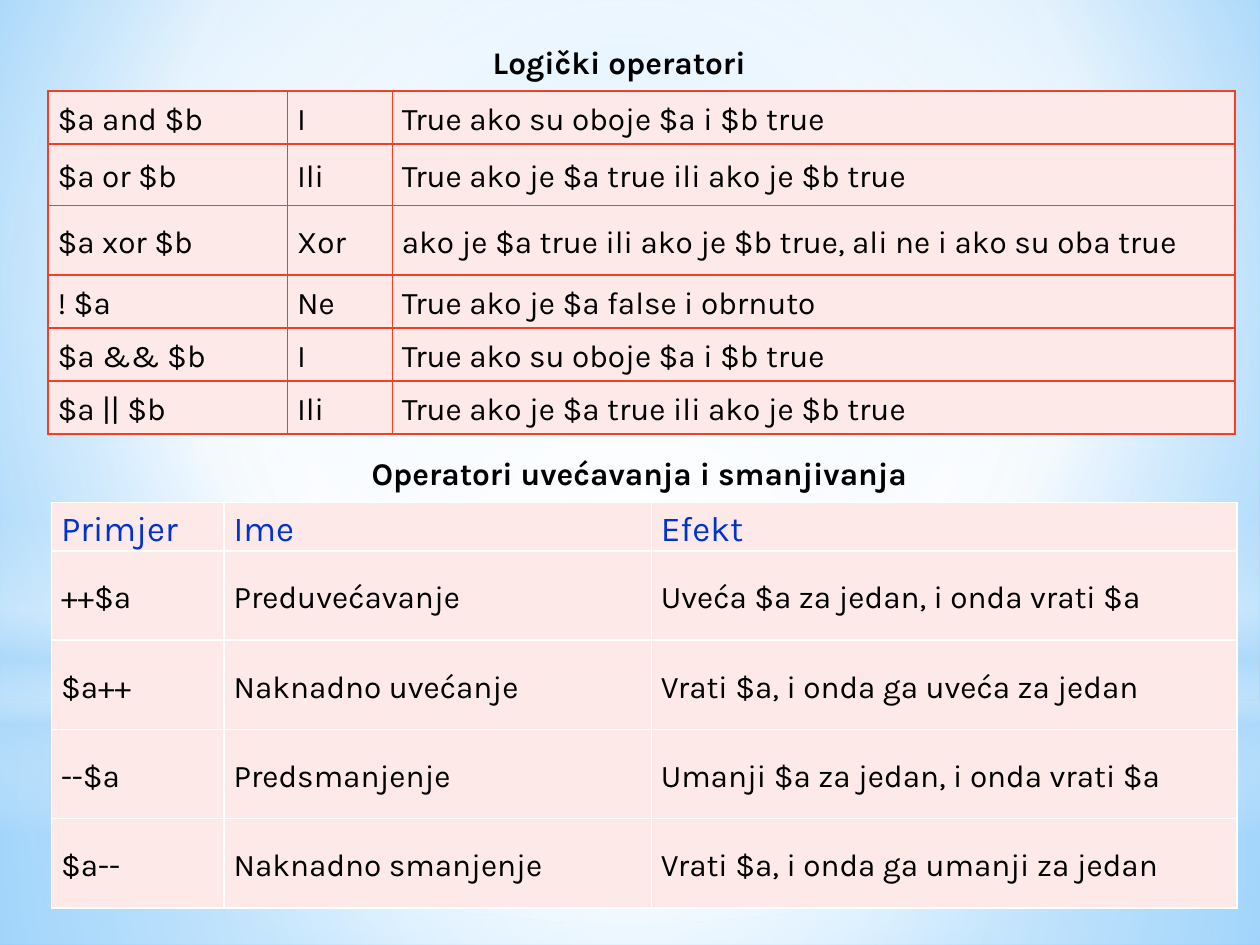
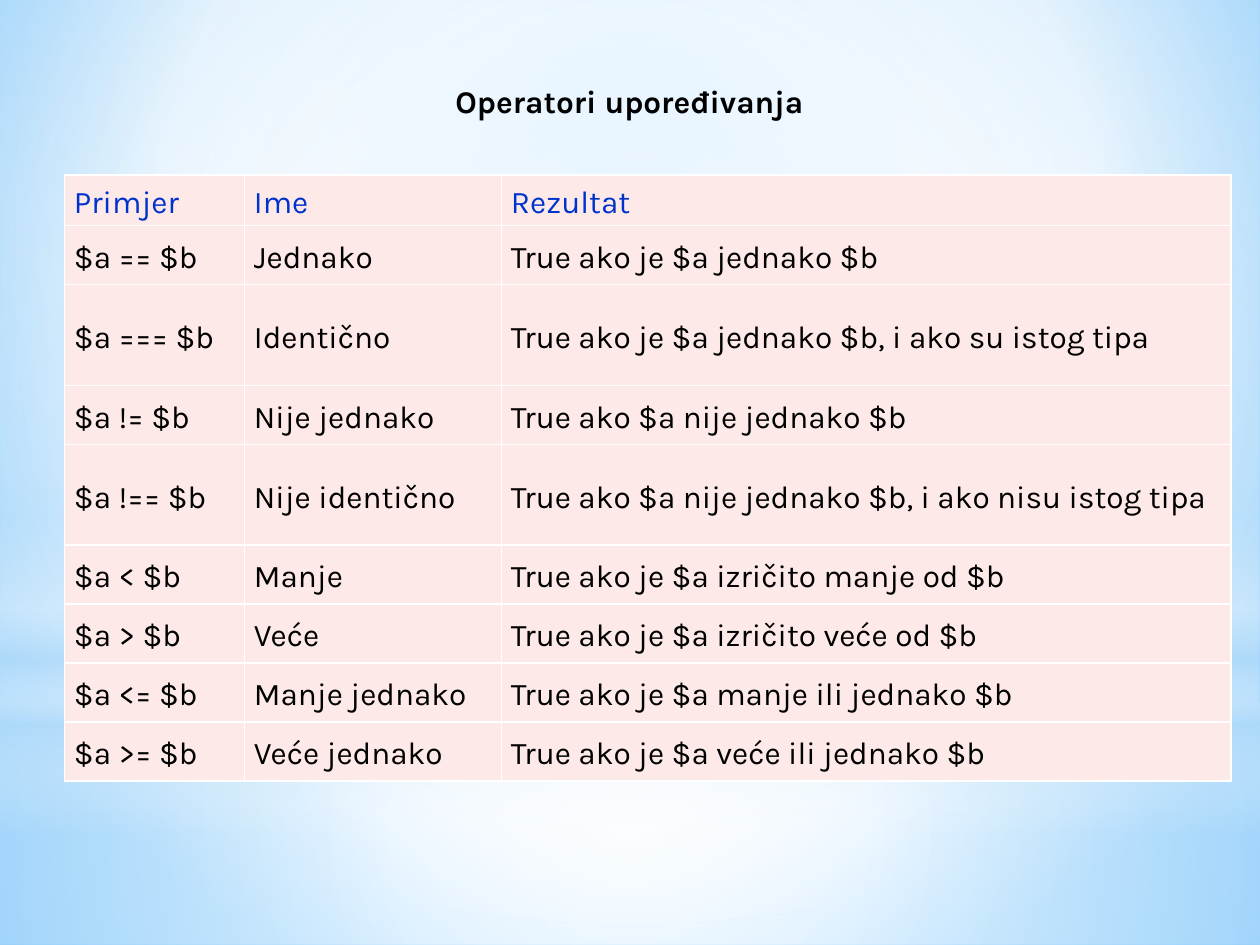
from lxml.etree import SubElement
from pptx import Presentation
from pptx.dml.color import RGBColor
from pptx.enum.shapes import MSO_SHAPE
from pptx.enum.text import MSO_ANCHOR, MSO_AUTO_SIZE, PP_ALIGN
from pptx.oxml.ns import qn
from pptx.util import Cm, Pt

FONT = "Karla"
BLACK, BLUE, RED, WHITE = "000000", "0033CC", "F14124", "FFFFFF"
CELL_FILL, SKY = "FCE9E8", "B4DCFA"
CENTER = (50, 50, 50, 50)


def write(tf, text, size=18, color=BLACK, bold=False, align=PP_ALIGN.LEFT, spacing=1.0):
    p = tf.paragraphs[0]
    p.alignment = align
    p.line_spacing = spacing
    r = p.add_run()
    r.text = text
    r.font.name = FONT
    r.font.size = Pt(size)
    r.font.bold = bold
    r.font.color.rgb = RGBColor.from_string(color)


def set_gradient(fill, parent, stops, focus=None):
    """Fill with (position, colour, opacity) stops: circular around focus, else top to bottom."""
    fill.gradient()
    grad = parent.find(".//" + qn("a:gradFill"))
    for child in list(grad):
        grad.remove(child)
    gs_list = SubElement(grad, qn("a:gsLst"))
    for position, color, opacity in stops:
        gs = SubElement(gs_list, qn("a:gs"), pos=str(position * 1000))
        clr = SubElement(gs, qn("a:srgbClr"), val=color)
        if opacity < 100:
            SubElement(clr, qn("a:alpha"), val=str(opacity * 1000))
    if focus:
        circle = SubElement(grad, qn("a:path"), path="circle")
        sides = {side: str(share * 1000) for side, share in zip("ltrb", focus)}
        SubElement(circle, qn("a:fillToRect"), **sides)
    else:
        SubElement(grad, qn("a:lin"), ang="5400000", scaled="0")


# Each slide: headings (text, left, top, width) and tables
# (left, top, column widths, row heights, border, header size or None, rows), in cm
content = [
    (
        [("Logički operatori", 0.89, 0.74, 23.19),
         ("Operatori uvećavanja i smanjivanja", 0.89, 9.02, 24)],
        [
            (0.97, 1.83, [4.83, 2.11, 16.99], [1.07, 1.24, 1.4, 1.07, 1.07, 1.07], RED, None, [
                ("$a and $b", "I", "True ako su oboje $a i $b true"),
                ("$a or $b", "Ili", "True ako je $a true ili ako je $b true"),
                ("$a xor $b", "Xor", "ako je $a true ili ako je $b true, ali ne i ako su oba true"),
                ("! $a", "Ne", "True ako je $a false i obrnuto"),
                ("$a && $b", "I", "True ako su oboje $a i $b true"),
                ("$a || $b", "Ili", "True ako je $a true ili ako je $b true"),
            ]),
            (1.04, 10.13, [3.48, 8.61, 11.81], [0.64] + [1.8] * 4, WHITE, 20, [
                ("Primjer", "Ime", "Efekt"),
                ("++$a", "Preduvećavanje", "Uveća $a za jedan, i onda vrati $a"),
                ("$a++", "Naknadno uvećanje", "Vrati $a, i onda ga uveća za jedan"),
                ("--$a", "Predsmanjenje", "Umanji $a za jedan, i onda vrati $a"),
                ("$a--", "Naknadno smanjenje", "Vrati $a, i onda ga umanji za jedan"),
            ]),
        ],
    ),
    (
        [("Operatori upoređivanja", 0.89, 1.52, 23.6)],
        [
            (1.3, 3.53, [3.63, 5.18, 14.71], [1.02] + [1.19, 2.03] * 2 + [1.19] * 4, WHITE, 18, [
                ("Primjer", "Ime", "Rezultat"),
                ("$a == $b", "Jednako", "True ako je $a jednako $b"),
                ("$a === $b", "Identično", "True ako je $a jednako $b, i ako su istog tipa"),
                ("$a != $b", "Nije jednako", "True ako $a nije jednako $b"),
                ("$a !== $b", "Nije identično", "True ako $a nije jednako $b, i ako nisu istog tipa"),
                ("$a < $b", "Manje", "True ako je $a izričito manje od $b"),
                ("$a > $b", "Veće", "True ako je $a izričito veće od $b"),
                ("$a <= $b", "Manje jednako", "True ako je $a manje ili jednako $b"),
                ("$a >= $b", "Veće jednako", "True ako je $a veće ili jednako $b"),
            ]),
        ],
    ),
]

prs = Presentation()
prs.slide_width, prs.slide_height = Cm(25.4), Cm(19.05)
title_only = prs.slide_layouts[5]
slides = [prs.slides.add_slide(title_only) for _ in content]

# Shared sky background, on the master
master = prs.slide_master
set_gradient(master.background.fill, master.element,
             [(0, "9ED5FF", 100), (60, WHITE, 100), (100, "5BB9FF", 100)], (20, 10, 20, 60))

glows = [
    (MSO_SHAPE.RECTANGLE, 14.17, 4.88, [(0, WHITE, 91), (37, WHITE, 76), (100, SKY, 79)], CENTER),
    (MSO_SHAPE.RECTANGLE, 0, 14.17, [(0, WHITE, 89), (48, WHITE, 62), (100, SKY, 79)], CENTER),
    (MSO_SHAPE.RECTANGLE, 10.46, 6.35, [(0, WHITE, 0), (29, WHITE, 30), (45, SKY, 40),
                                       (55, WHITE, 26), (65, SKY, 60), (100, WHITE, 0)], None),
    (MSO_SHAPE.OVAL, 4.45, 14.17, [(0, WHITE, 100), (56, WHITE, 0)], CENTER),
]
for i, (kind, top, height, stops, focus) in enumerate(glows):
    # Shapes can only be added to a slide, so each is then moved to the master
    sp = slides[0].shapes.add_shape(kind, 0, Cm(top), prs.slide_width, Cm(height))
    sp.shadow.inherit = False
    sp.line.fill.background()
    set_gradient(sp.fill, sp.element, stops, focus)
    sp.element.nvSpPr.cNvPr.set("id", str(20 + i))
    master.shapes.element.insert(2 + i, sp.element)

for s, (headings, tables) in zip(slides, content):
    for i, (text, left, top, width) in enumerate(headings):
        sp = s.shapes.title if i == 0 else s.shapes.add_textbox(0, 0, 0, 0)
        sp.left, sp.top, sp.width, sp.height = Cm(left), Cm(top), Cm(width), Cm(1.02)
        tf = sp.text_frame
        tf.word_wrap = True
        tf.auto_size = MSO_AUTO_SIZE.SHAPE_TO_FIT_TEXT
        tf.vertical_anchor = MSO_ANCHOR.TOP
        write(tf, text, bold=True, align=PP_ALIGN.CENTER)

    for left, top, widths, heights, border, header_size, rows in tables:
        table = s.shapes.add_table(len(rows), len(widths), Cm(left), Cm(top),
                                   Cm(sum(widths)), Cm(sum(heights))).table
        table.first_row = header_size is not None
        table.horz_banding = False
        for column, width in zip(table.columns, widths):
            column.width = Cm(width)
        for i, (row, height, texts) in enumerate(zip(table.rows, heights, rows)):
            row.height = Cm(height)
            is_header = header_size is not None and i == 0
            for cell, text in zip(row.cells, texts):
                cell.vertical_anchor = MSO_ANCHOR.MIDDLE
                cell.margin_left = cell.margin_right = Cm(0.19)
                cell.margin_top = cell.margin_bottom = 0
                tcPr = cell._tc.get_or_add_tcPr()
                for side in "LRTB":
                    ln = SubElement(tcPr, qn(f"a:ln{side}"), w=str(Pt(1)))
                    SubElement(SubElement(ln, qn("a:solidFill")), qn("a:srgbClr"), val=border)
                cell.fill.solid()
                cell.fill.fore_color.rgb = RGBColor.from_string(CELL_FILL)
                write(cell.text_frame, text, spacing=1.15,
                      size=header_size if is_header else 18,
                      color=BLUE if is_header else BLACK)

prs.save("out.pptx")
